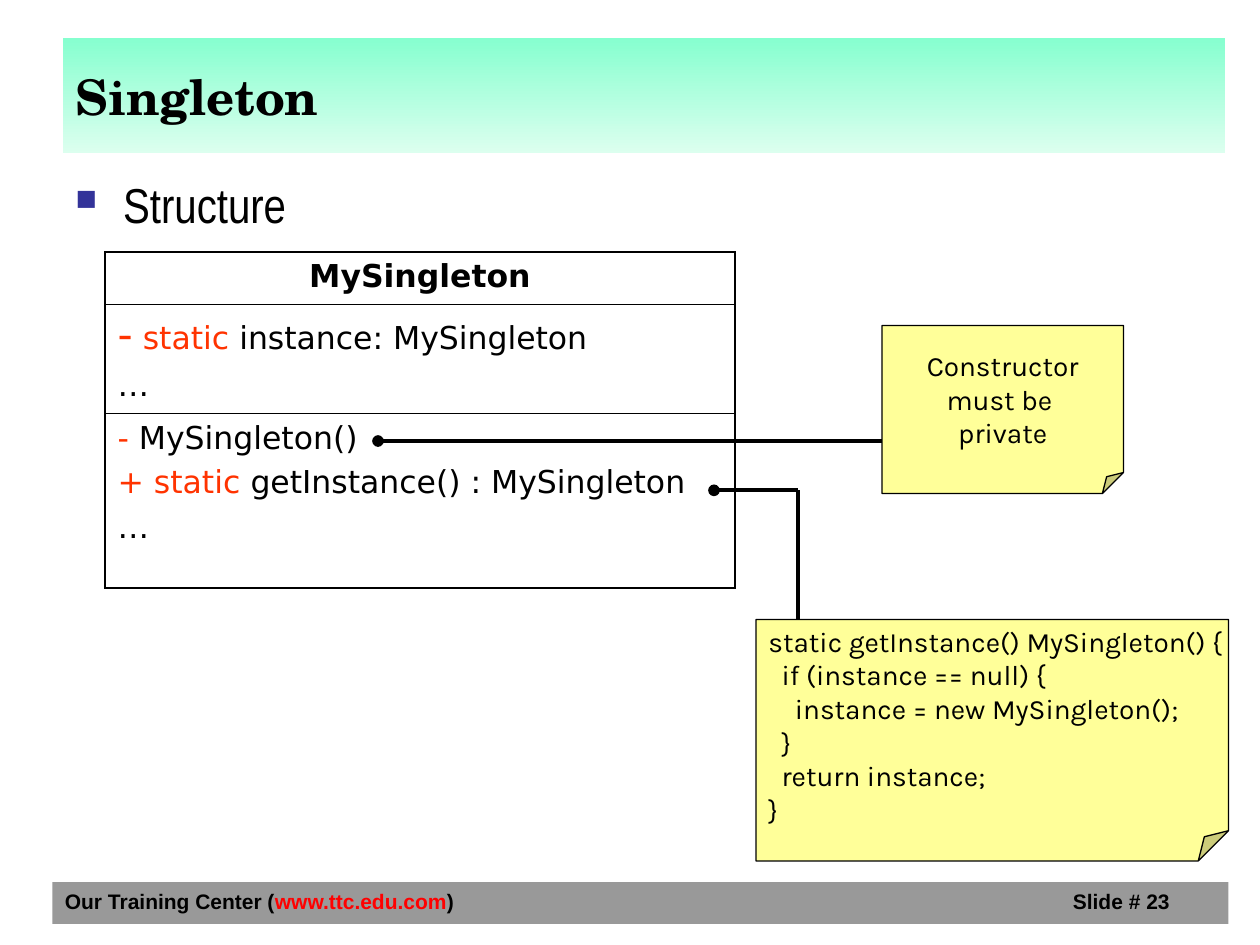
from lxml import etree
from pptx import Presentation
from pptx.dml.color import RGBColor
from pptx.enum.shapes import MSO_CONNECTOR, MSO_SHAPE
from pptx.enum.text import MSO_ANCHOR, MSO_AUTO_SIZE, PP_ALIGN
from pptx.oxml import parse_xml
from pptx.oxml.ns import nsdecls, qn
from pptx.util import Inches, Pt

RECT, NOTE = MSO_SHAPE.RECTANGLE, MSO_SHAPE.FOLDED_CORNER
STRAIGHT = MSO_CONNECTOR.STRAIGHT
LEFT, CENTER = PP_ALIGN.LEFT, PP_ALIGN.CENTER
TOP, MIDDLE = MSO_ANCHOR.TOP, MSO_ANCHOR.MIDDLE

UNIT = Inches(1) / 12  # the slide is a grid of 120 columns by 90 rows
THEME = {
    "ink": "000000",
    "keyword": "FF3300",
    "link": "FF0000",
    "bullet": "333399",
    "footer": "999999",
    "note": "FFFF99",
    "banner": ("86FFCF", "DCFFEF"),
    "title_font": {"name": "TeX Gyre Schola", "size": Pt(28), "bold": True},
    "body_font": {"name": "Arial Narrow", "size": Pt(28)},
    "class_font": {"name": "DejaVu Sans", "size": Pt(18)},
    "note_font": {"name": "Karla", "size": Pt(16)},
    "footer_font": {"name": "Arial", "size": Pt(12), "bold": True},
}


def grid(*cells):
    return [round(cell * UNIT) for cell in cells]


def write(frame, lines, font, align=LEFT, space=0):
    """Fill a text frame; each line is a list of (text, colour key, font changes)."""
    for number, line in enumerate(lines):
        paragraph = frame.add_paragraph() if number else frame.paragraphs[0]
        paragraph.alignment = align
        paragraph.space_before = Pt(space if number else 0)
        for text, color, changes in line:
            run = paragraph.add_run()
            run.text = text
            run.font.color.rgb = RGBColor.from_string(THEME[color])
            for key, value in {**THEME[font], **changes}.items():
                setattr(run.font, key, value)


prs = Presentation()
prs.slide_width, prs.slide_height = grid(120, 90)
slide = prs.slides.add_slide(prs.slide_layouts[5])
shapes = slide.shapes

# Footer
footer = shapes.add_shape(RECT, *grid(5, 84, 112, 4))
footer.shadow.inherit = False
footer.fill.solid()
footer.fill.fore_color.rgb = RGBColor.from_string(THEME["footer"])
footer.line.fill.background()
footer.text_frame.vertical_anchor = TOP
tabs = etree.SubElement(footer.text_frame.paragraphs[0]._p.get_or_add_pPr(), qn("a:tabLst"))
etree.SubElement(tabs, qn("a:tab"), pos=str(Inches(8)), algn="l")
write(footer.text_frame, [[
    ("Our Training Center (", "ink", {}),
    ("www.ttc.edu.com", "link", {}),
    (")\tSlide # 23", "ink", {}),
]], "footer_font")

# Title banner
title = shapes.title
title.left, title.top, title.width, title.height = grid(6, 3.6, 110.7, 11)
title.fill.gradient()
title.fill.gradient_angle = 270
for position, (stop, color) in enumerate(zip(title.fill.gradient_stops, THEME["banner"])):
    stop.color.rgb = RGBColor.from_string(color)
    stop.position = position
title.text_frame.auto_size = MSO_AUTO_SIZE.NONE
title.text_frame.vertical_anchor = MIDDLE
write(title.text_frame, [[("Singleton", "ink", {})]], "title_font")

# Bulleted heading
heading = shapes.add_textbox(*grid(6, 16, 110.7, 67)).text_frame
heading.word_wrap = True
heading_format = heading.paragraphs[0]._p.get_or_add_pPr()
heading_format.set("marL", str(Inches(0.38)))
heading_format.set("indent", str(-Inches(0.38)))
bullet_color = etree.SubElement(heading_format, qn("a:buClr"))
etree.SubElement(bullet_color, qn("a:srgbClr"), val=THEME["bullet"])
etree.SubElement(heading_format, qn("a:buSzPct"), val="60000")
etree.SubElement(heading_format, qn("a:buChar"), char="■")
write(heading, [[("Structure", "ink", {})]], "body_font")

# Class diagram: name, fields, methods
compartments = [
    (5, CENTER, [[("MySingleton", "ink", {"bold": True})]]),
    (10.4, LEFT, [
        [("-", "keyword", {"size": Pt(24)}), (" static", "keyword", {}),
         (" instance: MySingleton", "ink", {})],
        [("…", "ink", {})],
    ]),
    (16.6, LEFT, [
        [("- ", "keyword", {}), ("MySingleton()", "ink", {})],
        [("+ static ", "keyword", {}), ("getInstance() : MySingleton", "ink", {})],
        [("…", "ink", {})],
    ]),
]
class_box = shapes.add_table(len(compartments), 1, *grid(10, 24, 60, 32)).table
class_box.first_row = class_box.horz_banding = False
for row, (height, align, members) in enumerate(compartments):
    class_box.rows[row].height = grid(height)[0]
    cell = class_box.cell(row, 0)
    for side in ("lnL", "lnR", "lnT", "lnB"):
        cell._tc.get_or_add_tcPr().append(parse_xml(
            f'<a:{side} {nsdecls("a")} w="{Pt(1.08)}"><a:solidFill>'
            f'<a:srgbClr val="{THEME["ink"]}"/></a:solidFill></a:{side}>'))
    cell.fill.background()
    write(cell.text_frame, members, "class_font", align, space=4.5)

# Notes
notes = [
    ((72, 59, 45, 23), LEFT, [
        "static getInstance() MySingleton() {",
        "  if (instance == null) {",
        "    instance = new MySingleton();",
        "  }",
        "  return instance;",
        "}",
    ]),
    ((84, 31, 23, 16), CENTER, ["Constructor", "must be ", "private"]),
]
for place, align, lines in notes:
    note = shapes.add_shape(NOTE, *grid(*place))
    fold = note._element.spPr.find(qn("a:prstGeom")).get_or_add_avLst()
    etree.SubElement(fold, qn("a:gd"), name="adj", fmla="val 12500")
    note.shadow.inherit = False
    note.fill.solid()
    note.fill.fore_color.rgb = RGBColor.from_string(THEME["note"])
    note.line.color.rgb = RGBColor.from_string(THEME["ink"])
    note.line.width = Pt(0.75)
    note.text_frame.word_wrap = False
    note.text_frame.vertical_anchor = MIDDLE
    write(note.text_frame, [[(line, "ink", {})] for line in lines], "note_font", align)

# Links from methods to their notes
links = [
    ((68, 46.7, 76, 46.7), 2.25, True),
    ((76, 46.7, 76, 59), 2.5, False),
    ((36, 42, 84, 42), 2.25, True),
]
for ends, width, dotted in links:
    link = shapes.add_connector(STRAIGHT, *grid(*ends))
    link.line.color.rgb = RGBColor.from_string(THEME["ink"])
    link.line.width = Pt(width)
    if dotted:
        etree.SubElement(link.line._get_or_add_ln(), qn("a:headEnd"), type="oval")
    etree.SubElement(link._element.spPr, qn("a:effectLst"))

prs.save("out.pptx")
